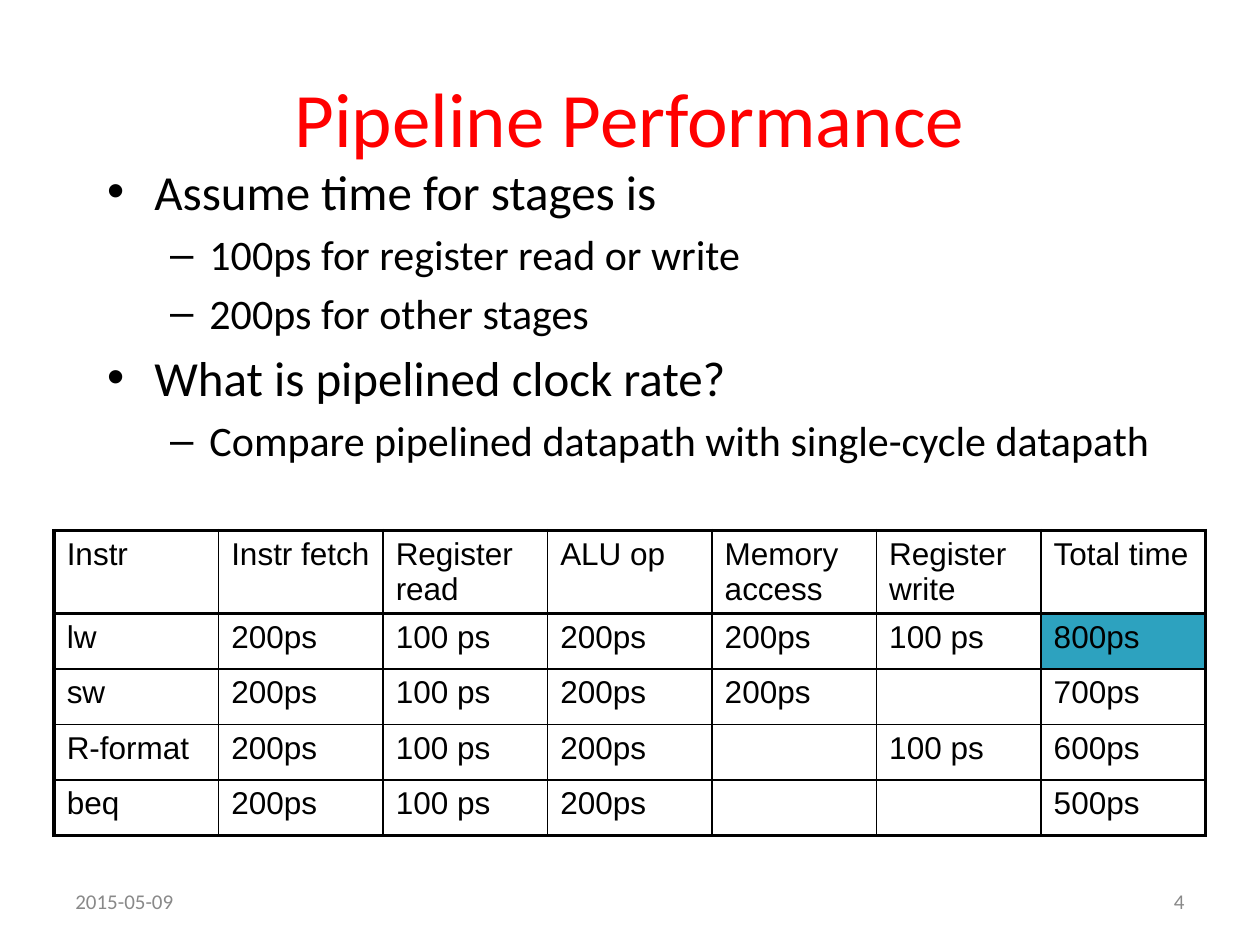
from lxml.etree import SubElement
from pptx import Presentation
from pptx.dml.color import RGBColor
from pptx.enum.text import MSO_ANCHOR, MSO_AUTO_SIZE, PP_ALIGN
from pptx.oxml.ns import qn
from pptx.util import Inches, Pt

COLORS = {"title": "FF0000", "text": "000000", "footer": "898989", "highlight": "2DA2BF"}
TITLE = "Pipeline Performance"
BULLETS = [
    (0, "Assume time for stages is"),
    (1, "100ps for register read or write"),
    (1, "200ps for other stages"),
    (0, "What is pipelined clock rate?"),
    (1, "Compare pipelined datapath with single-cycle datapath"),
]
BULLET_SIZES = [28, 24]
TIMES = [
    ["Instr", "Instr fetch", "Register read", "ALU op", "Memory access", "Register write", "Total time"],
    ["lw", "200ps", "100 ps", "200ps", "200ps", "100 ps", "800ps"],
    ["sw", "200ps", "100 ps", "200ps", "200ps", "", "700ps"],
    ["R-format", "200ps", "100 ps", "200ps", "", "100 ps", "600ps"],
    ["beq", "200ps", "100 ps", "200ps", "", "", "500ps"],
]
HIGHLIGHTED = (1, 6)
ROW_HEIGHTS = [0.66] + [0.44] * 4
OUTER, HEADER_RULE, INNER = 2.25, 1.5, 1
FOOTERS = [("2015-05-09", 0.5, PP_ALIGN.LEFT), ("4", 7.17, PP_ALIGN.RIGHT)]


def place(sp, left, top, width, height):
    sp.left, sp.top, sp.width, sp.height = map(Inches, (left, top, width, height))


def format_runs(p, size, color, font="Calibri"):
    for r in p.runs:
        r.font.size = Pt(size)
        r.font.name = font
        r.font.bold = False
        r.font.color.rgb = RGBColor.from_string(COLORS[color])


def set_borders(cell, widths):
    tc_pr = cell._tc.get_or_add_tcPr()
    for index, (side, width) in enumerate(widths.items()):
        ln = tc_pr.makeelement(qn(f"a:{side}"), {"w": str(Pt(width))})
        fill = SubElement(ln, qn("a:solidFill"))
        SubElement(fill, qn("a:srgbClr"), val=COLORS["text"])
        tc_pr.insert(index, ln)


def add_title(s):
    sp = s.shapes.title
    place(sp, 0.5, 0.3, 9, 1.25)
    sp.text_frame.text = TITLE
    format_runs(sp.text_frame.paragraphs[0], 44, "title")


def add_bullets(s):
    sp = s.placeholders[1]
    place(sp, 0.75, 1.23, 9.05, 2.77)
    tf = sp.text_frame
    tf.auto_size = MSO_AUTO_SIZE.NONE
    tf.text = "\n".join(text for _, text in BULLETS)
    for p, (level, _) in zip(tf.paragraphs, BULLETS):
        p.level = level
        format_runs(p, BULLET_SIZES[level], "text")


def add_times(s):
    last_row, last_col = len(TIMES) - 1, len(TIMES[0]) - 1
    table = s.shapes.add_table(
        last_row + 1, last_col + 1, Inches(0.43), Inches(4.21), Inches(9.14), Inches(sum(ROW_HEIGHTS))
    ).table
    table.first_row = table.horz_banding = False
    for row, height in zip(table.rows, ROW_HEIGHTS):
        row.height = Inches(height)
    row_rules = [OUTER, HEADER_RULE] + [INNER] * (last_row - 1) + [OUTER]
    col_rules = [OUTER] + [INNER] * last_col + [OUTER]
    for i, values in enumerate(TIMES):
        for j, value in enumerate(values):
            cell = table.cell(i, j)
            cell.text = value
            format_runs(cell.text_frame.paragraphs[0], 18, "text", "Arial")
            if (i, j) == HIGHLIGHTED:
                cell.fill.solid()
                cell.fill.fore_color.rgb = RGBColor.from_string(COLORS["highlight"])
            else:
                cell.fill.background()
            set_borders(cell, {
                "lnL": col_rules[j], "lnR": col_rules[j + 1],
                "lnT": row_rules[i], "lnB": row_rules[i + 1],
            })


def add_footers(s):
    for text, left, align in FOOTERS:
        sp = s.shapes.add_textbox(Inches(left), Inches(6.95), Inches(2.33), Inches(0.4))
        tf = sp.text_frame
        tf.word_wrap = True
        tf.vertical_anchor = MSO_ANCHOR.MIDDLE
        tf.text = text
        p = tf.paragraphs[0]
        p.alignment = align
        format_runs(p, 12, "footer")


def main():
    prs = Presentation()
    prs.slide_width, prs.slide_height = Inches(10), Inches(7.5)
    s = prs.slides.add_slide(prs.slide_layouts[1])
    add_title(s)
    add_bullets(s)
    add_times(s)
    add_footers(s)
    prs.save("out.pptx")


if __name__ == "__main__":
    main()
